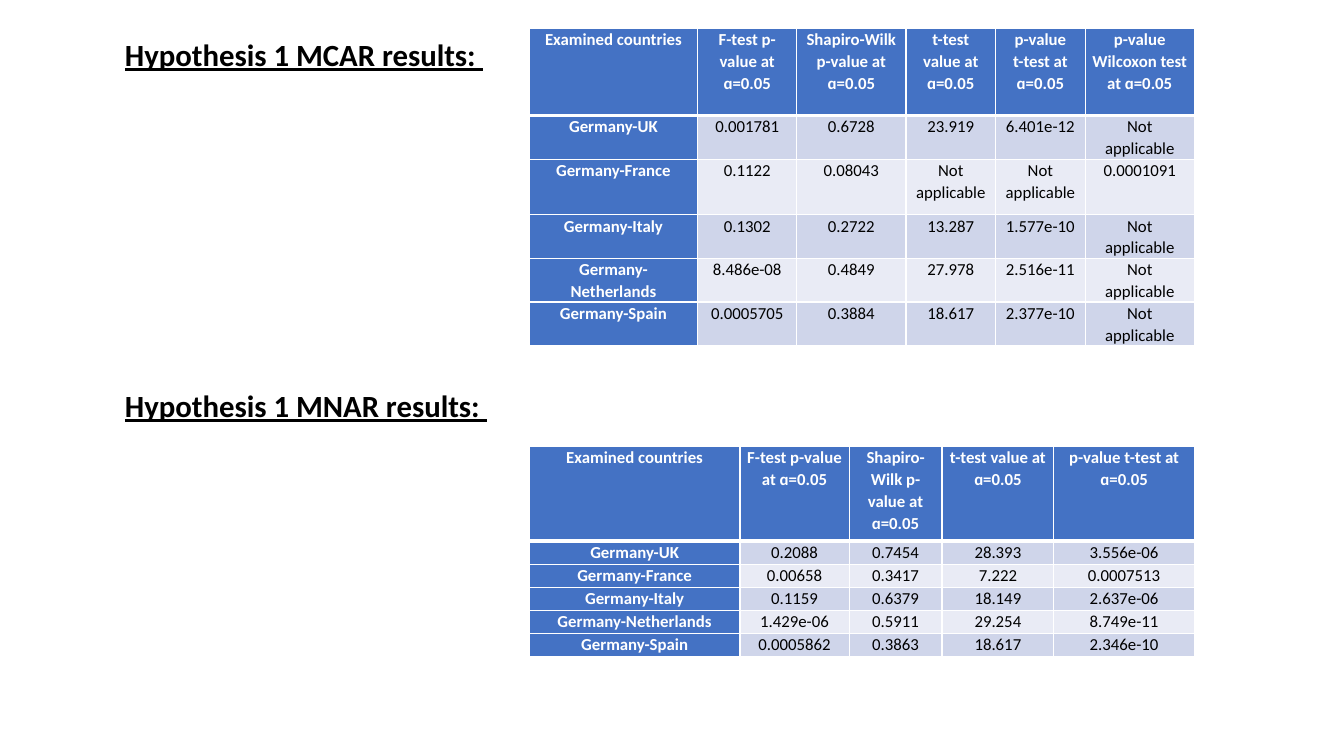
from pptx import Presentation
from pptx.dml.color import RGBColor as Rgb
from pptx.enum.text import PP_ALIGN as Align
from pptx.oxml import parse_xml
from pptx.oxml.ns import nsdecls
from pptx.util import Cm, Pt

BLUE, WHITE, BLACK = "4472C4", "FFFFFF", "000000"
BANDS = ("CFD5EA", "E9EBF5")
LEFT = 13.34  # shared left edge of both tables
NONE = "Not applicable"

MCAR = [
    ["Examined countries", "F-test p-value at ɑ=0.05", "Shapiro-Wilk p-value at ɑ=0.05",
     "t-test value at ɑ=0.05", "p-value\nt-test at ɑ=0.05", "p-value Wilcoxon test at ɑ=0.05"],
    ["Germany-UK", "0.001781", "0.6728", "23.919", "6.401e-12", NONE],
    ["Germany-France", "0.1122", "0.08043", NONE, NONE, "0.0001091"],
    ["Germany-Italy", "0.1302", "0.2722", "13.287", "1.577e-10", NONE],
    ["Germany-Netherlands", "8.486e-08", "0.4849", "27.978", "2.516e-11", NONE],
    ["Germany-Spain", "0.0005705", "0.3884", "18.617", "2.377e-10", NONE],
]
MNAR = [
    ["Examined countries", "F-test p-value at ɑ=0.05", "Shapiro-Wilk p-value at ɑ=0.05",
     "t-test value at ɑ=0.05", "p-value t-test at ɑ=0.05"],
    ["Germany-UK", "0.2088", "0.7454", "28.393", "3.556e-06"],
    ["Germany-France", "0.00658", "0.3417", "7.222", "0.0007513"],
    ["Germany-Italy", "0.1159", "0.6379", "18.149", "2.637e-06"],
    ["Germany-Netherlands", "1.429e-06", "0.5911", "29.254", "8.749e-11"],
    ["Germany-Spain", "0.0005862", "0.3863", "18.617", "2.346e-10"],
]


def paint(fill, hue):
    fill.solid()
    fill.fore_color.rgb = Rgb.from_string(hue)


def write(para, text, size, hue, bold):
    para.text = text
    para.line_spacing = 1.07
    para.space_after = Pt(8)
    font = para.font
    font.name, font.size, font.bold = "Calibri", Pt(size), bold
    paint(font.fill, hue)


def add_title(slide, top, text):
    box = slide.shapes.add_textbox(Cm(2.9), Cm(top), Cm(24.2), Cm(2.26))
    box.text_frame.word_wrap = True
    para = box.text_frame.paragraphs[0]
    write(para, text, 22, BLACK, True)
    para.space_before = Pt(10)
    para.font.underline = True


def add_edges(cell, base):
    """White cell borders; base is the width of the lower one in points."""
    props = cell._tc.get_or_add_tcPr()
    for spot, (side, width) in enumerate(zip("LRTB", (1, 1, 1, base))):
        props.insert(spot, parse_xml(
            f'<a:ln{side} {nsdecls("a")} w="{Pt(width)}"><a:solidFill>'
            f'<a:srgbClr val="{WHITE}"/></a:solidFill></a:ln{side}>'))


def fill_cell(cell, text, row, col):
    label = row == 0 or col == 0
    cell.margin_left = cell.margin_right = Cm(0.18)
    cell.margin_top = cell.margin_bottom = 0
    para = cell.text_frame.paragraphs[0]
    write(para, text, 12, WHITE if label else BLACK, label)
    para.alignment = Align.CENTER
    paint(cell.fill, BLUE if label else BANDS[(row - 1) % 2])
    add_edges(cell, 1 if row else 3)


def add_grid(slide, top, data, widths, heights):
    frame = slide.shapes.add_table(len(data), len(widths), Cm(LEFT), Cm(top),
                                   Cm(sum(widths)), Cm(sum(heights)))
    table = frame.table
    table.first_col = True
    for col, width in zip(table.columns, widths):
        col.width = Cm(width)
    for row, height in zip(table.rows, heights):
        row.height = Cm(height)
    for r, line in enumerate(data):
        for c, text in enumerate(line):
            fill_cell(table.cell(r, c), text, r, c)


def main():
    deck = Presentation()
    deck.slide_width, deck.slide_height = Cm(33.87), Cm(19.05)
    slide = deck.slides.add_slide(deck.slide_layouts[6])

    # Upper half: MCAR
    add_title(slide, 0.71, "Hypothesis 1 MCAR results: ")
    add_grid(slide, 0.71, MCAR, [4.24, 2.5, 2.75, 2.26, 2.26, 2.75],
             [2.2, 1.1, 1.4, 1.1, 1.1, 1.1])

    # Lower half: MNAR
    add_title(slide, 9.55, "Hypothesis 1 MNAR results: ")
    add_grid(slide, 11.25, MNAR, [5.31, 2.75, 2.34, 2.82, 3.54],
             [2.39] + [0.58] * 5)

    deck.save("out.pptx")


if __name__ == "__main__":
    main()
